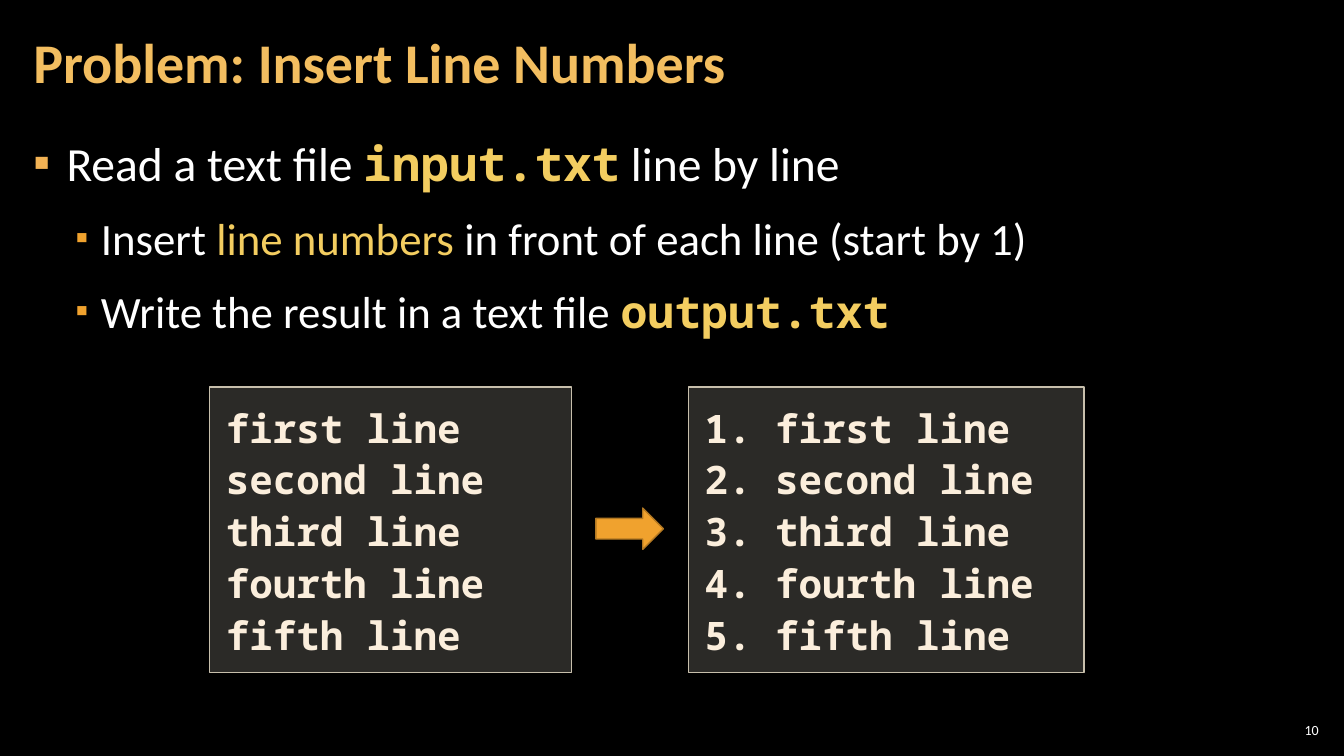
from lxml import etree
from pptx import Presentation
from pptx.dml.color import RGBColor as RGB
from pptx.enum.shapes import MSO_SHAPE as SHAPE
from pptx.enum.text import MSO_ANCHOR as ANCHOR, MSO_AUTO_SIZE as FIT, PP_ALIGN as ALIGN
from pptx.oxml.ns import qn
from pptx.util import Inches, Pt

HUE = {
    "back": "000000", "text": "FFFFFF", "title": "F3BE60", "mark": "F3CD60",
    "dot": "F2B254", "subdot": "F0A22E", "arrow": "F0A22E", "edge": "B27822",
    "box": "D9D5C7", "rim": "C7BFAC", "code": "FBEEDC",
}
SANS, MONO = "Calibri", "Noto Sans Mono"


def style(font, name, hue, size=None, bold=False):
    font.name, font.bold = name, bold
    font.color.rgb = RGB.from_string(HUE[hue])
    if size:
        font.size = Pt(size)


def setup(shape, area, pad, anchor):
    shape.left, shape.top, shape.width, shape.height = map(Inches, area)
    frame = shape.text_frame
    frame.word_wrap, frame.auto_size = True, FIT.NONE
    frame.vertical_anchor = anchor
    frame.margin_left = frame.margin_right = Inches(pad[0])
    frame.margin_top = frame.margin_bottom = Inches(pad[1])
    return frame


deck = Presentation()
deck.slide_width, deck.slide_height = Inches(13.33), Inches(7.5)
slide = deck.slides.add_slide(deck.slide_layouts[1])
slide.background.fill.solid()
slide.background.fill.fore_color.rgb = RGB.from_string(HUE["back"])

# Title
frame = setup(slide.shapes.title, (0.21, 0.04, 10.47, 1.21), (0.12, 0.04), ANCHOR.MIDDLE)
frame.text = "Problem: Insert Line Numbers"
para = frame.paragraphs[0]
para.alignment, para.line_spacing = ALIGN.LEFT, 0.9
style(para.font, SANS, "title", 40, True)

# Bullets: level, then runs of text, font, colour and weight
items = [
    (0, [("Read a text file ", SANS, "text", False),
         ("input.txt", MONO, "mark", True),
         (" line by line", SANS, "text", False)]),
    (1, [("Insert ", SANS, "text", False),
         ("line numbers ", SANS, "mark", False),
         ("in front of each line (start by 1)", SANS, "text", False)]),
    (1, [("Write the result in a text file ", SANS, "text", False),
         ("output.txt", MONO, "mark", True)]),
]
levels = [(34, 0.33, 0.33, "dot", 100), (32, 0.67, 0.25, "subdot", 80)]
frame = setup(slide.placeholders[1], (0.21, 1.26, 12.91, 6.09), (0.12, 0.04), ANCHOR.TOP)
for i, (level, runs) in enumerate(items):
    para = frame.add_paragraph() if i else frame.paragraphs[0]
    size, left, hang, dot, scale = levels[level]
    para.level, para.line_spacing = level, 1.05
    para.space_before = para.space_after = Pt(6)
    props = para._p.get_or_add_pPr()
    props.set("marL", str(Inches(left)))
    props.set("indent", str(-Inches(hang)))
    color = etree.SubElement(props, qn("a:buClr"))
    etree.SubElement(color, qn("a:srgbClr"), val=HUE[dot])
    etree.SubElement(props, qn("a:buSzPct"), val=str(scale * 1000))
    etree.SubElement(props, qn("a:buFont"), typeface=SANS)
    etree.SubElement(props, qn("a:buChar"), char="▪")
    para.font.size = Pt(size)
    for text, name, hue, bold in runs:
        run = para.add_run()
        run.text = text
        style(run.font, name, hue, bold=bold)

# File contents before and after
lines = [f"{word} line" for word in ("first", "second", "third", "fourth", "fifth")]
listed = [f"{n}. {line}" for n, line in enumerate(lines, 1)]
for left, width, rows in ((2.08, 3.59, lines), (6.83, 3.92, listed)):
    area = (left, 3.84, width, 2.83)
    box = slide.shapes.add_shape(SHAPE.RECTANGLE, *map(Inches, area))
    box.shadow.inherit = False
    box.fill.solid()
    box.fill.fore_color.rgb = RGB.from_string(HUE["box"])
    tint = box._element.spPr.find(qn("a:solidFill"))[0]
    etree.SubElement(tint, qn("a:alpha"), val="20000")
    box.line.color.rgb = RGB.from_string(HUE["rim"])
    box.line.width = Pt(1)
    frame = setup(box, area, (0.16, 0.12), ANCHOR.TOP)
    frame.text = "\n".join(rows)
    for para in frame.paragraphs:
        para.alignment, para.line_spacing = ALIGN.LEFT, 1.1
        style(para.font, MONO, "code", 28, True)

# Arrow between the boxes
arrow = slide.shapes.add_shape(SHAPE.RIGHT_ARROW, *map(Inches, (5.91, 5.04, 0.67, 0.41)))
arrow.shadow.inherit = False
arrow.fill.solid()
arrow.fill.fore_color.rgb = RGB.from_string(HUE["arrow"])
arrow.line.color.rgb = RGB.from_string(HUE["edge"])
arrow.line.width = Pt(1)

# Page number
area = (12.65, 7.14, 0.47, 0.21)
page = slide.shapes.add_textbox(*map(Inches, area))
frame = setup(page, area, (0.04, 0.04), ANCHOR.MIDDLE)
frame.text = "10"
frame.paragraphs[0].alignment = ALIGN.RIGHT
style(frame.paragraphs[0].font, SANS, "text", 10)

deck.save("out.pptx")
